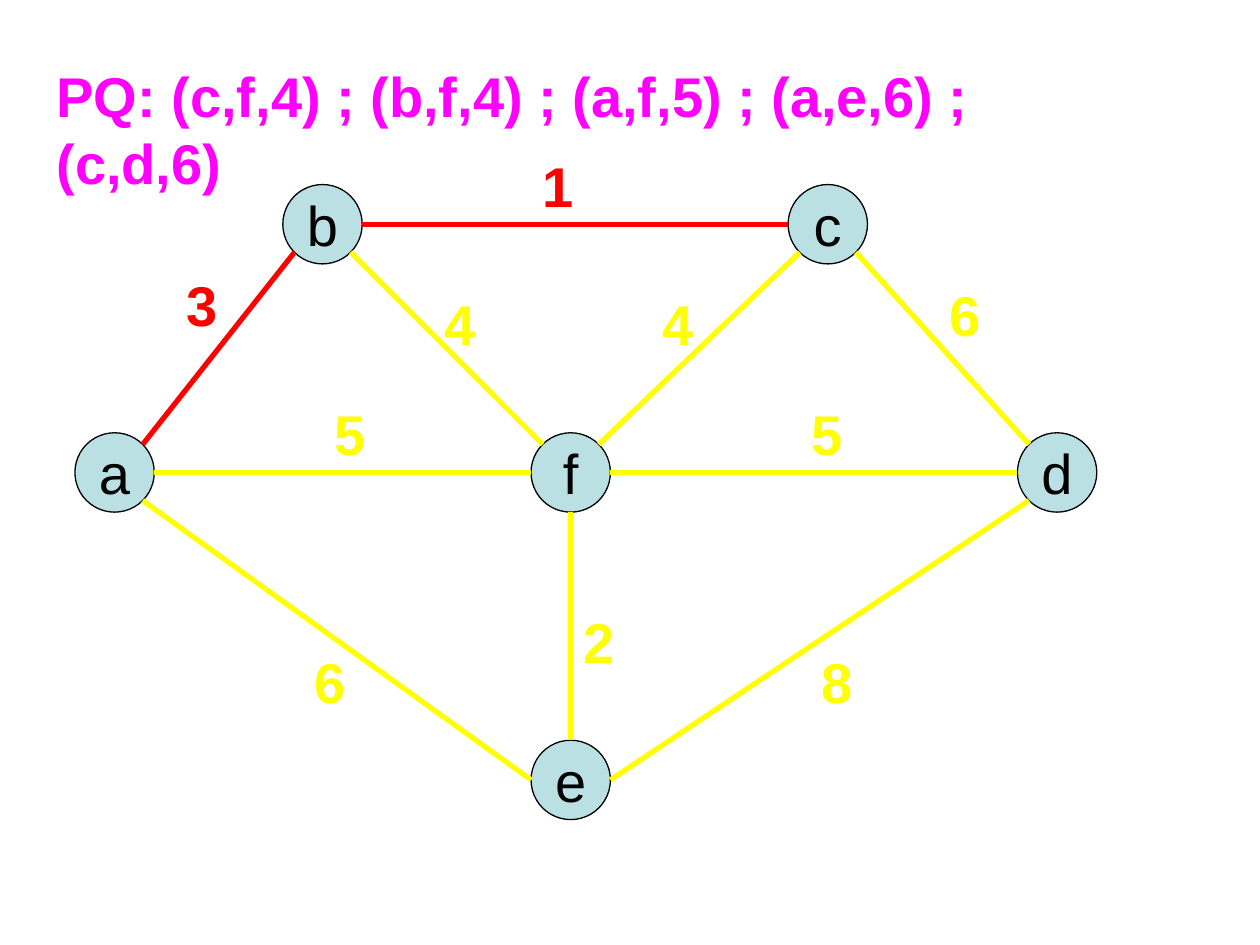
from math import sqrt

from lxml.etree import SubElement
from pptx import Presentation
from pptx.dml.color import RGBColor
from pptx.enum.shapes import MSO_CONNECTOR, MSO_SHAPE
from pptx.enum.text import MSO_ANCHOR, MSO_AUTO_SIZE, PP_ALIGN
from pptx.oxml.ns import qn
from pptx.util import Inches, Pt

COLORS = {
    "node": "BBE0E3",
    "outline": "000000",
    "waiting": "FFFF00",
    "chosen": "FF0000",
    "queue": "FF00FF",
}
DIAMETER = 0.63
RADIUS = DIAMETER / 2
DIAGONAL = RADIUS / sqrt(2)

# Where an edge may touch a node, as offsets from the node's centre
PORTS = {
    "N": (0, -RADIUS), "S": (0, RADIUS), "W": (-RADIUS, 0), "E": (RADIUS, 0),
    "NW": (-DIAGONAL, -DIAGONAL), "NE": (DIAGONAL, -DIAGONAL),
    "SW": (-DIAGONAL, DIAGONAL), "SE": (DIAGONAL, DIAGONAL),
}

# Node centres
NODES = {
    "b": (2.56, 1.78),
    "c": (6.57, 1.78),
    "a": (0.91, 3.75),
    "d": (8.39, 3.75),
    "f": (4.53, 3.75),
    "e": (4.53, 6.19),
}

# From node and port, to node and port, weight, weight position, state
EDGES = [
    ("f", "NW", "b", "SE", 4, (3.43, 2.25), "waiting"),
    ("f", "NE", "c", "SW", 4, (5.16, 2.25), "waiting"),
    ("a", "NE", "b", "SW", 3, (1.38, 2.1), "chosen"),
    ("c", "W", "b", "E", 1, (4.21, 1.15), "chosen"),
    ("f", "E", "d", "W", 5, (6.34, 3.12), "waiting"),
    ("a", "E", "f", "W", 5, (2.56, 3.12), "waiting"),
    ("e", "E", "d", "SW", 8, (6.42, 5.09), "waiting"),
    ("e", "W", "a", "SE", 6, (2.4, 5.09), "waiting"),
    ("e", "N", "f", "S", 2, (4.53, 4.77), "waiting"),
    ("c", "SE", "d", "NW", 6, (7.44, 2.18), "waiting"),
]


def write(shape, text, color, bold=True, align=PP_ALIGN.LEFT,
          anchor=MSO_ANCHOR.TOP, wrap=False, grow=True):
    frame = shape.text_frame
    frame.word_wrap = wrap
    frame.auto_size = MSO_AUTO_SIZE.SHAPE_TO_FIT_TEXT if grow else MSO_AUTO_SIZE.NONE
    frame.vertical_anchor = anchor
    paragraph = frame.paragraphs[0]
    paragraph.alignment = align
    run = paragraph.add_run()
    run.text = text
    run.font.name = "Arial"
    run.font.size = Pt(32)
    run.font.bold = bold
    run.font.color.rgb = RGBColor.from_string(COLORS[color])


def port_position(node, port):
    return [Inches(center + offset) for center, offset in zip(NODES[node], PORTS[port])]


presentation = Presentation()
presentation.slide_width = Inches(10)
presentation.slide_height = Inches(7.5)
slide = presentation.slides.add_slide(presentation.slide_layouts[6])

for name, (x, y) in NODES.items():
    node = slide.shapes.add_shape(
        MSO_SHAPE.OVAL, Inches(x - RADIUS), Inches(y - RADIUS),
        Inches(DIAMETER), Inches(DIAMETER))
    node.shadow.inherit = False
    node.fill.solid()
    node.fill.fore_color.rgb = RGBColor.from_string(COLORS["node"])
    node.line.color.rgb = RGBColor.from_string(COLORS["outline"])
    node.line.width = Pt(0.75)
    write(node, name, "outline", bold=False, align=PP_ALIGN.CENTER,
          anchor=MSO_ANCHOR.MIDDLE, grow=False)

for start, start_port, end, end_port, weight, (left, top), state in EDGES:
    weighted_edge = slide.shapes.add_group_shape()
    edge = weighted_edge.shapes.add_connector(
        MSO_CONNECTOR.STRAIGHT,
        *port_position(start, start_port), *port_position(end, end_port))
    edge.line.color.rgb = RGBColor.from_string(COLORS[state])
    edge.line.width = Pt(3)
    SubElement(edge._element.spPr, qn("a:effectLst"))
    weight_label = weighted_edge.shapes.add_textbox(
        Inches(left), Inches(top), Inches(0.45), Inches(0.64))
    write(weight_label, str(weight), state)

queue = slide.shapes.add_textbox(Inches(0.35), Inches(0.44), Inches(8.82), Inches(1.17))
write(queue, "PQ: (c,f,4) ; (b,f,4) ; (a,f,5) ; (a,e,6) ; (c,d,6)", "queue", wrap=True)

presentation.save("out.pptx")
